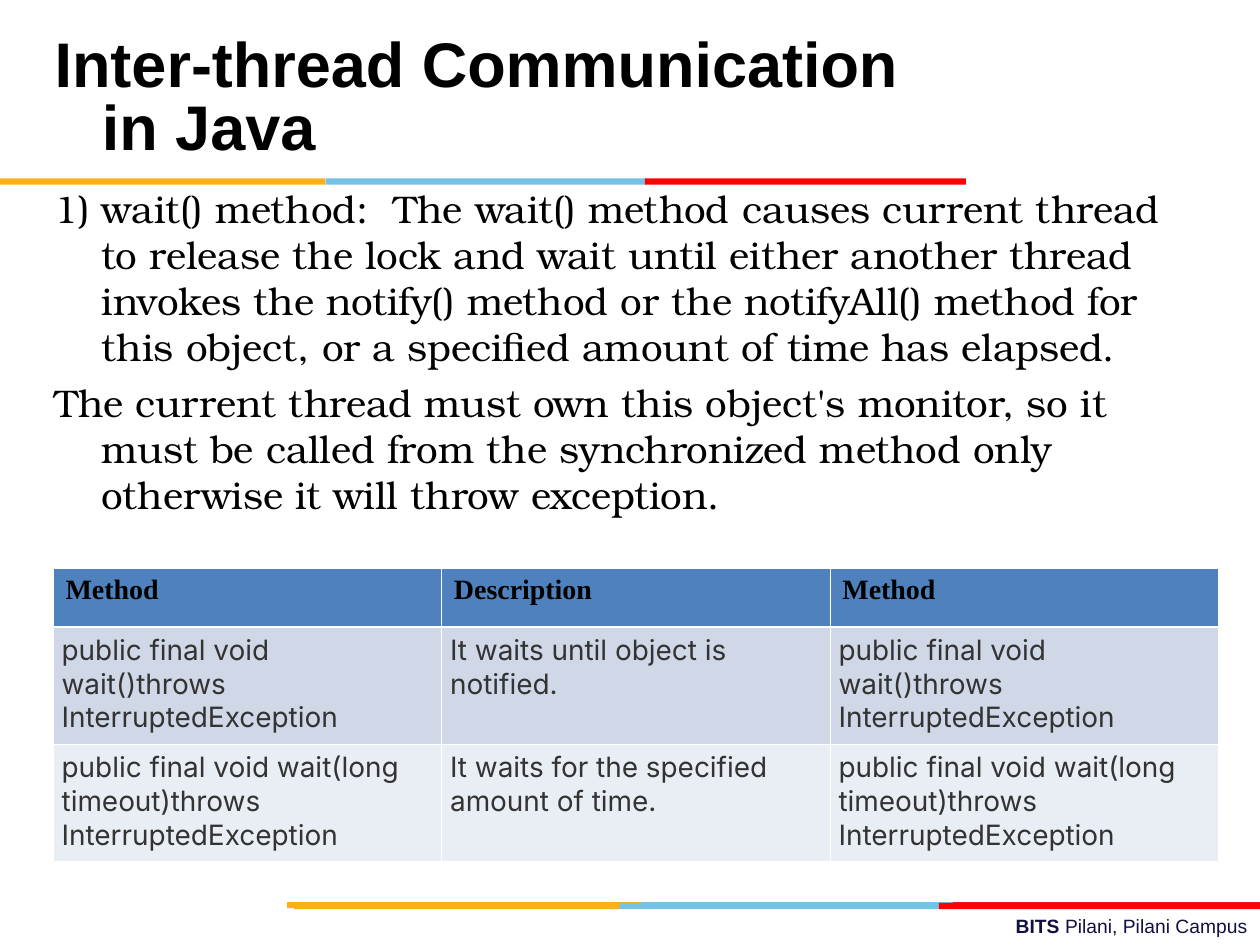
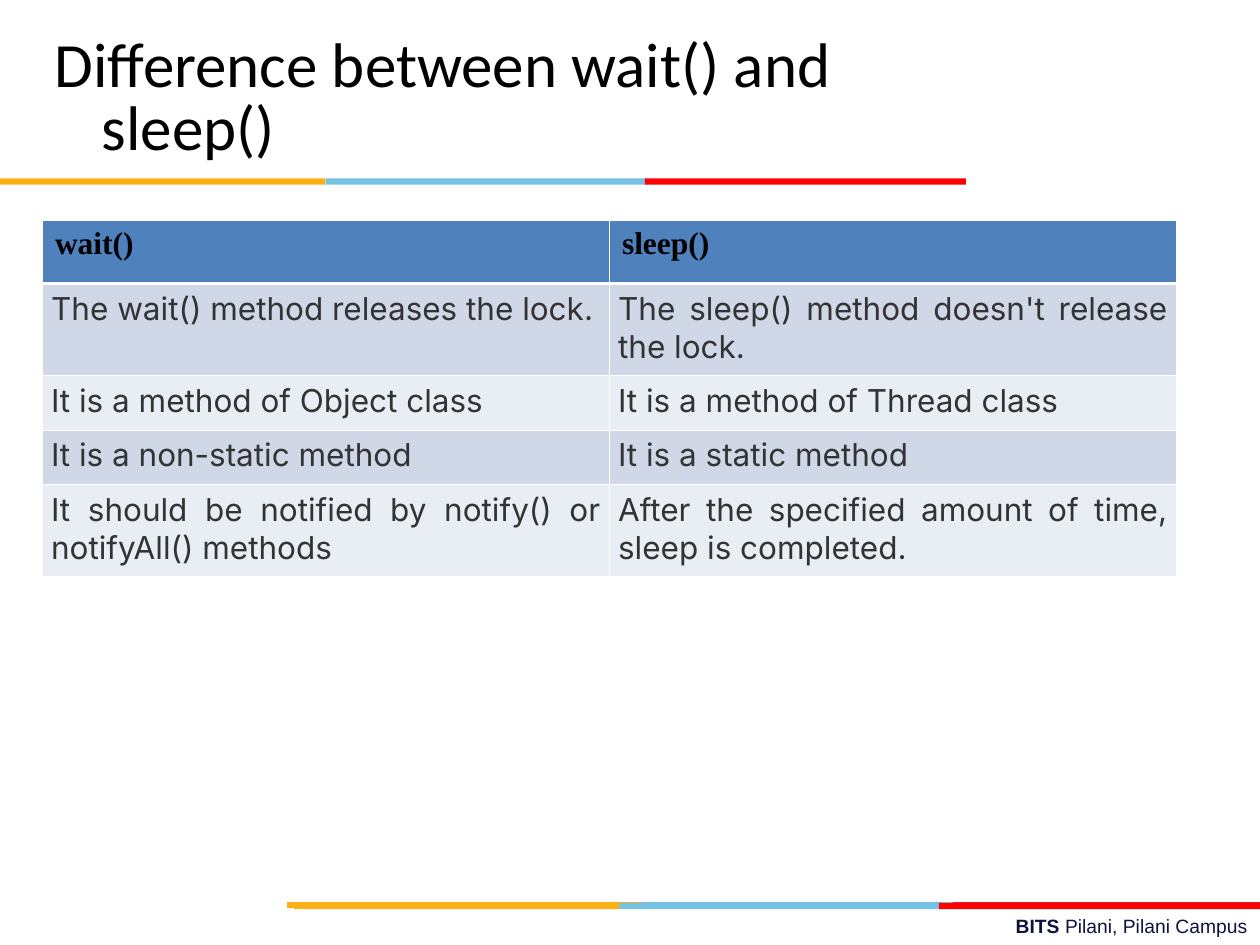
"""Build two slides on thread communication in Java."""
import pptx
import pptx.dml.color
import pptx.enum.shapes
import pptx.enum.text
import pptx.oxml
import pptx.oxml.ns
import pptx.util

Pt = pptx.util.Pt
ALIGN = pptx.enum.text.PP_ALIGN
GOLD, SKY, RED, ROSE = "FCB017", "76C2E5", "FF0000", "E31C24"
BLACK, NAVY, GREY, WHITE = "000000", "101141", "333333", "FFFFFF"
HEAD, ODD, EVEN = "4F81BD", "D0D8E8", "E9EDF4"
BANDS = [
    (364.5, 515.5, 183.5, SKY), (544.5, 515.5, 175.5, ROSE), (164, 515.5, 203, GOLD),
    (354, 516, 183.5, SKY), (168, 516, 186, GOLD), (536.5, 516, 183.5, RED),
    (186, 102, 183.5, SKY), (0, 102, 186, GOLD), (368.5, 102, 183.5, RED),
]
BODY = [
    "1) wait() method:  The wait() method causes current thread to release the lock "
    "and wait until either another thread invokes the notify() method or the "
    "notifyAll() method for this object, or a specified amount of time has elapsed.",
    "The current thread must own this object's monitor, so it must be called from "
    "the synchronized method only otherwise it will throw exception.",
]
WAIT = "public final void wait()throws InterruptedException"
TIMED = "public final void wait(long timeout)throws InterruptedException"
PAGES = [
    dict(
        title="Inter-thread Communication in Java", face="Arial", bold=True, body=BODY,
        left=30.25, top=324.75, width=222, rows=[33.5, 67, 67], size=16, align=ALIGN.LEFT,
        cells=[
            ["Method", "Description", "Method"],
            [WAIT, "It waits until object is notified.", WAIT],
            [TIMED, "It waits for the specified amount of time.", TIMED],
        ],
    ),
    dict(
        title="Difference between wait() and sleep()", face="Calibri", bold=False, body=[],
        left=24.25, top=126, width=324, rows=[36, 52.5, 31.2, 31.2, 52.5], size=18,
        align=ALIGN.JUSTIFY,
        cells=[
            ["wait()", "sleep()"],
            ["The wait() method releases the lock.",
             "The sleep() method doesn't release the lock."],
            ["It is a method of Object class", "It is a method of Thread class"],
            ["It is a non-static method", "It is a static method"],
            ["It should be notified by notify() or notifyAll() methods",
             "After the specified amount of time, sleep is completed."],
        ],
    ),
]


def rgb(code):
    return pptx.dml.color.RGBColor.from_string(code)


def add_run(para, text, face, size, code, bold=False):
    run = para.add_run()
    run.text = text
    run.font.name, run.font.size, run.font.bold = face, Pt(size), bold
    run.font.color.rgb = rgb(code)


deck = pptx.Presentation()
deck.slide_width, deck.slide_height = Pt(720), Pt(540)

for page in PAGES:
    slide = deck.slides.add_slide(deck.slide_layouts[5])
    shapes = slide.shapes

    foot = shapes.add_textbox(Pt(258), Pt(519), Pt(462), Pt(21)).text_frame
    foot.word_wrap = True
    para = foot.paragraphs[0]
    para.alignment = ALIGN.RIGHT
    add_run(para, "BITS ", "Arial", 11, NAVY, True)
    add_run(para, "Pilani, Pilani Campus", "Arial", 11, NAVY)

    for left, top, width, code in BANDS:
        band = shapes.add_shape(pptx.enum.shapes.MSO_SHAPE.RECTANGLE,
                                Pt(left), Pt(top), Pt(width), Pt(3.5))
        band.shadow.inherit = False
        band.fill.solid()
        band.fill.fore_color.rgb = rgb(code)
        band.line.fill.background()

    title = shapes.title
    title.left, title.top, title.width, title.height = Pt(24), Pt(12), Pt(498), Pt(90)
    frame = title.text_frame
    frame.word_wrap = True
    frame.auto_size = pptx.enum.text.MSO_AUTO_SIZE.NONE
    frame.vertical_anchor = pptx.enum.text.MSO_ANCHOR.MIDDLE
    para = frame.paragraphs[0]
    para.alignment, para.line_spacing = ALIGN.LEFT, Pt(36)
    props = para._p.get_or_add_pPr()
    props.set("marL", str(Pt(27)))
    props.set("indent", str(Pt(-27)))
    add_run(para, page["title"], page["face"], 36, BLACK, page["bold"])

    if page["body"]:
        frame = shapes.add_textbox(Pt(24), Pt(102), Pt(648), Pt(414)).text_frame
        frame.word_wrap = True
        for i, text in enumerate(page["body"]):
            para = frame.add_paragraph() if i else frame.paragraphs[0]
            if i:
                para.space_before = Pt(5.5)
            props = para._p.get_or_add_pPr()
            props.set("marL", str(Pt(27)))
            props.set("indent", str(Pt(-27)))
            add_run(para, text, "TeX Gyre Bonum", 22, BLACK)

    cells, rows = page["cells"], page["rows"]
    cols = len(cells[0])
    grid = shapes.add_table(len(rows), cols, Pt(page["left"]), Pt(page["top"]),
                            Pt(page["width"] * cols), Pt(sum(rows))).table
    for col in grid.columns:
        col.width = Pt(page["width"])
    for r, texts in enumerate(cells):
        grid.rows[r].height = Pt(rows[r])
        for c, text in enumerate(texts):
            cell = grid.cell(r, c)
            cell.margin_left = cell.margin_right = Pt(5 if r else 7.2)
            cell.margin_top = cell.margin_bottom = Pt(3.6)
            cell.fill.solid()
            cell.fill.fore_color.rgb = rgb((ODD if r % 2 else EVEN) if r else HEAD)
            para = cell.text_frame.paragraphs[0]
            para.alignment = page["align"] if r else ALIGN.LEFT
            add_run(para, text, "Inter" if r else "Times New Roman", page["size"],
                    GREY if r else BLACK, r == 0)
            for i, side in enumerate("LRTB"):
                thick = (r, side) in [(0, "B"), (1, "T")]
                edge = pptx.oxml.parse_xml(
                    f'<a:ln{side} {pptx.oxml.ns.nsdecls("a")} w="{Pt(1.47 if thick else 0.45)}">'
                    f'<a:solidFill><a:srgbClr val="{WHITE}"/></a:solidFill></a:ln{side}>')
                cell._tc.get_or_add_tcPr().insert(i, edge)

deck.save("out.pptx")
